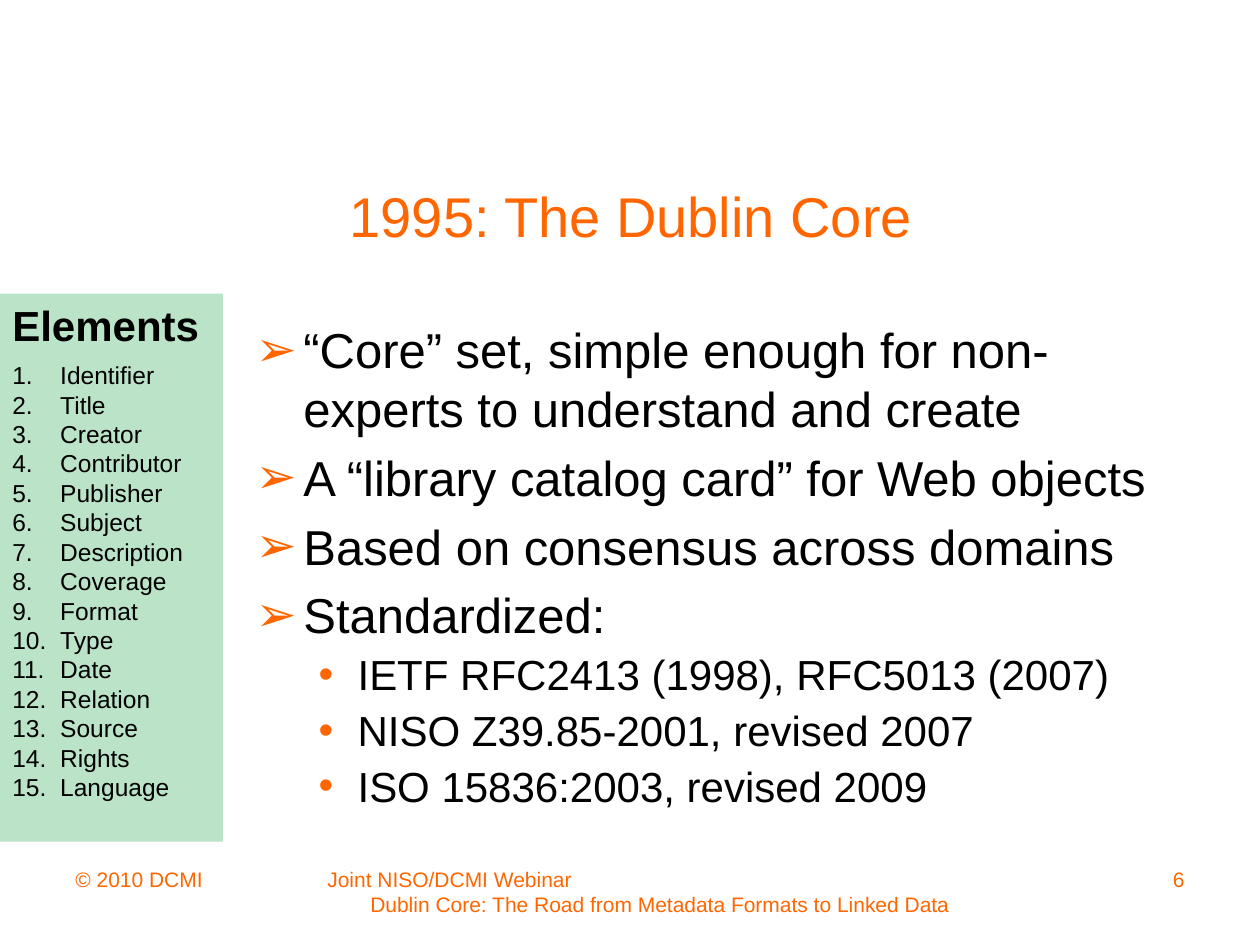
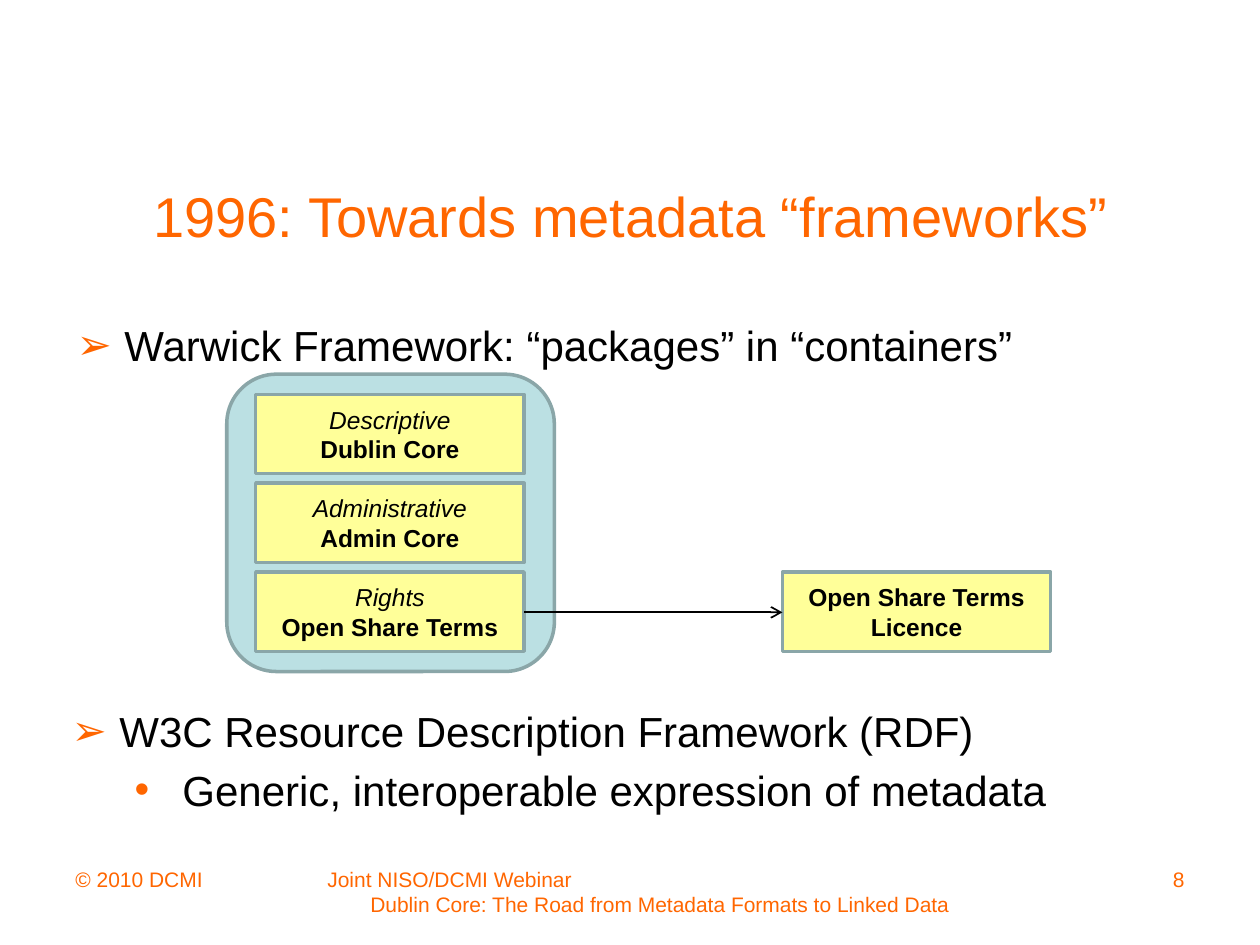
import pptx
import pptx.util
import pptx.dml.color
import pptx.enum.shapes
import pptx.enum.text
import lxml.etree
from pptx.util import Inches

COLORS = {
    "accent": "FF6600",
    "ink": "000000",
    "green": "BBE3C7",
    "teal": "BBE0E3",
    "yellow": "FFFF99",
    "edge": "8AA6A8",
}
FONT = "Arial"
SHAPE = pptx.enum.shapes.MSO_SHAPE
ALIGN = pptx.enum.text.PP_ALIGN
ANCHOR = pptx.enum.text.MSO_ANCHOR


def color(name):
    return pptx.dml.color.RGBColor.from_string(COLORS[name])


def add(node, tag, **attrs):
    return lxml.etree.SubElement(node, pptx.oxml.ns.qn("a:" + tag), attrs)


class Deck:
    def __init__(self):
        self.file = pptx.Presentation()
        self.file.slide_width = Inches(10)
        self.file.slide_height = Inches(7.5)

    def page(self, title, number):
        self.slide = self.file.slides.add_slide(self.file.slide_layouts[6])
        frame = self.box(0.51, 1.31, 9, 0.79)
        frame.vertical_anchor = ANCHOR.MIDDLE
        self.line(frame, title, 32, "accent", ALIGN.CENTER)
        self.foot(0.5, 1.9, "© 2010 DCMI", ALIGN.LEFT)
        frame = self.foot(2.48, 5.2, "Joint NISO/DCMI Webinar", ALIGN.LEFT)
        self.indent(frame.paragraphs[0], 0.02, 0)
        road = "Dublin Core: The Road from Metadata Formats to Linked Data"
        para = self.line(frame, road, 12, "accent", ALIGN.CENTER)
        self.indent(para, 0.32, 0)
        self.foot(7.76, 1.74, str(number), ALIGN.RIGHT)

    def foot(self, left, width, text, align):
        frame = self.box(left, 6.83, width, 0.52)
        self.line(frame, text, 12, "accent", align)
        return frame

    def box(self, left, top, width, height):
        shape = self.slide.shapes.add_textbox(
            Inches(left), Inches(top), Inches(width), Inches(height))
        shape.text_frame.word_wrap = True
        return shape.text_frame

    def shape(self, kind, left, top, width, height, fill, edge=None):
        shape = self.slide.shapes.add_shape(
            kind, Inches(left), Inches(top), Inches(width), Inches(height))
        shape.shadow.inherit = False
        shape.fill.solid()
        shape.fill.fore_color.rgb = color(fill)
        if edge:
            shape.line.color.rgb = color(edge)
            shape.line.width = pptx.util.Pt(2)
        else:
            shape.line.fill.background()
        frame = shape.text_frame
        frame.word_wrap = True
        frame.vertical_anchor = ANCHOR.MIDDLE if edge else ANCHOR.TOP
        return frame

    def line(self, frame, text, size, ink="ink", align=ALIGN.LEFT,
             bold=False, slant=False):
        para = frame.paragraphs[0]
        if para.runs:
            para = frame.add_paragraph()
        para.add_run().text = text
        para.alignment = align
        font = para.font
        font.name = FONT
        font.size = pptx.util.Pt(size)
        font.color.rgb = color(ink)
        font.bold = bold
        font.italic = slant
        return para

    def indent(self, para, left, hang):
        props = para._p.get_or_add_pPr()
        props.set("marL", str(Inches(left)))
        props.set("indent", str(-Inches(hang)))
        return props

    def space(self, para, share):
        props = para._p.get_or_add_pPr()
        gap = add(props, "spcBef")
        add(gap, "spcPct", val=str(share * 1000))
        props.insert(0, gap)

    def bullet(self, frame, text, size, sign="➢", left=0.38, hang=0.38, gap=None):
        para = self.line(frame, text, size)
        if gap:
            para.space_before = pptx.util.Pt(gap)
        else:
            self.space(para, 20)
        props = self.indent(para, left, hang)
        tint = add(props, "buClr")
        add(tint, "srgbClr", val=COLORS["accent"])
        self.mark(props, "buChar", char=sign)

    def count(self, frame, text, size):
        para = self.line(frame, text, size)
        props = self.indent(para, 0.38, 0.38)
        self.mark(props, "buAutoNum", type="arabicPeriod")

    def mark(self, props, tag, **attrs):
        add(props, "buFont", typeface=FONT)
        add(props, tag, **attrs)
        props.append(props.find(pptx.oxml.ns.qn("a:defRPr")))

    def pack(self, left, top, name, kind=None):
        frame = self.shape(SHAPE.RECTANGLE, left, top, 2.13, 0.63, "yellow", "edge")
        if kind:
            self.line(frame, kind, 14, align=ALIGN.CENTER, slant=True)
        self.line(frame, name, 14, align=ALIGN.CENTER, bold=True)

    def arrow(self, start, end, top):
        link = self.slide.shapes.add_connector(
            pptx.enum.shapes.MSO_CONNECTOR.STRAIGHT,
            Inches(start), Inches(top), Inches(end), Inches(top))
        link.line.color.rgb = color("ink")
        link.line.width = pptx.util.Pt(1)
        add(link.line._get_or_add_ln(), "tailEnd", type="arrow")
        add(link._element.spPr, "effectLst")


deck = Deck()

deck.page("1995: The Dublin Core", 6)
body = deck.box(1.93, 2.49, 7.58, 3.97)
for text in (
    "“Core” set, simple enough for non-experts to understand and create",
    "A “library catalog card” for Web objects",
    "Based on consensus across domains",
    "Standardized:",
):
    deck.bullet(body, text, 28)
for text in (
    "IETF RFC2413 (1998), RFC5013 (2007)",
    "NISO Z39.85-2001, revised 2007",
    "ISO 15836:2003, revised 2009",
):
    deck.bullet(body, text, 24, "•", 0.81, 0.31, 3)

head = deck.shape(SHAPE.RECTANGLE, 0, 2.33, 1.77, 0.5, "green")
deck.space(deck.line(head, "Elements", 24, bold=True), 50)
side = deck.shape(SHAPE.RECTANGLE, 0, 2.81, 1.77, 3.87, "green")
for text in (
    "Identifier", "Title", "Creator", "Contributor", "Publisher",
    "Subject", "Description", "Coverage", "Format", "Type",
    "Date", "Relation", "Source", "Rights", "Language",
):
    deck.count(side, text, 14)

deck.page("1996: Towards metadata “frameworks”", 8)
body = deck.box(0.51, 2.49, 9, 0.71)
deck.bullet(body, "Warwick Framework: “packages” in “containers”", 24)
deck.shape(SHAPE.ROUNDED_RECTANGLE, 1.8, 2.97, 2.6, 2.36, "teal", "edge")
terms = "Open Share Terms"
packs = (
    ("Descriptive", "Dublin Core"),
    ("Administrative", "Admin Core"),
    ("Rights", terms),
)
for row, (kind, name) in enumerate(packs):
    deck.pack(2.03, 3.13 + 0.705 * row, name, kind)
deck.pack(6.21, 4.54, terms + " Licence")
deck.arrow(4.16, 6.21, 4.86)
body = deck.box(0.47, 5.55, 9, 1.04)
deck.bullet(body, "W3C Resource Description Framework (RDF)", 24)
deck.bullet(body, "Generic, interoperable expression of metadata", 24, "•", 0.88)

deck.file.save("out.pptx")
